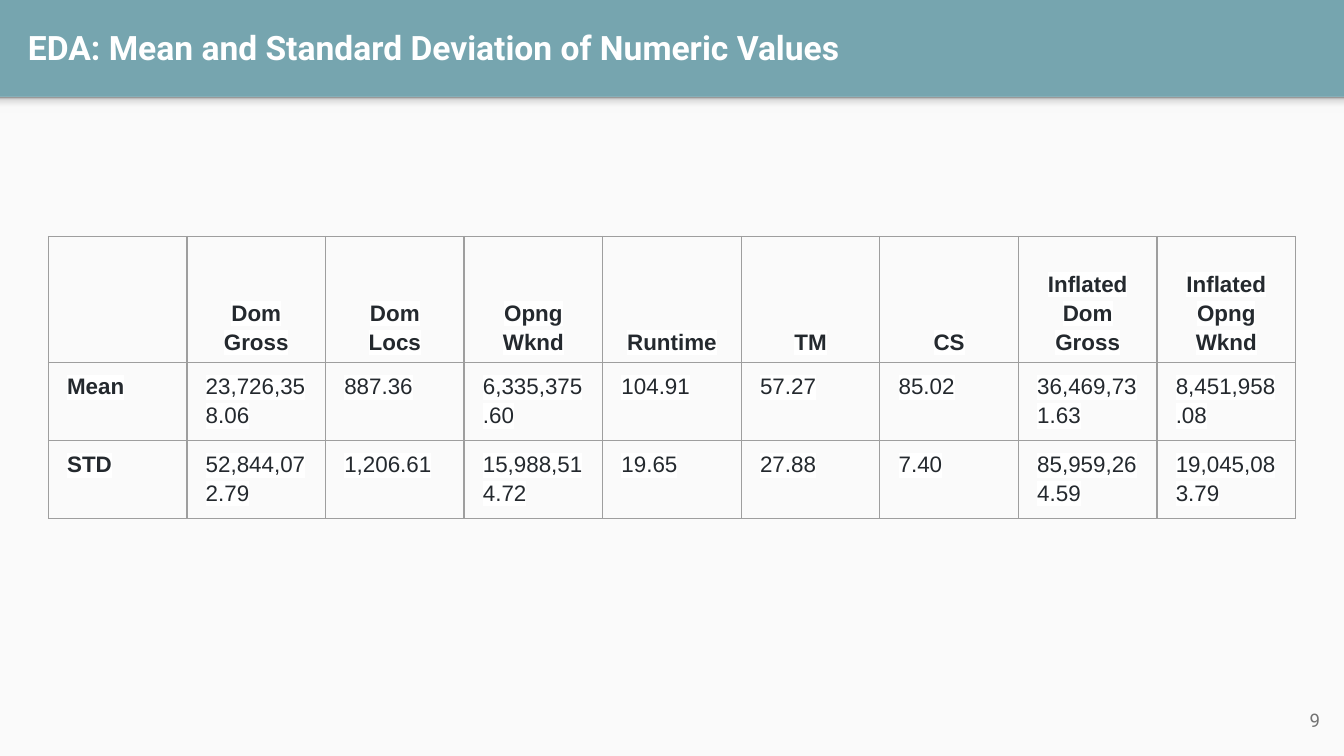
from lxml import etree
from pptx import Presentation, util as u
from pptx.dml.color import RGBColor
from pptx.enum import shapes, text
from pptx.oxml.ns import qn

HUES = {"band": "76A5AF", "page": "FAFAFA", "white": "FFFFFF",
        "ink": "24292E", "rule": "9E9E9E", "grey": "737373"}
SHADE = [(0, "F9F9F9"), (36, "F9F9F9"), (80, "DEDEDE"), (100, "999999")]
TITLE = "EDA: Mean and Standard Deviation of Numeric Values"
PAGE = "9"
ROWS = [
    ["", "Dom Gross", "Dom Locs", "Opng Wknd", "Runtime", "TM", "CS",
     "Inflated Dom Gross", "Inflated Opng Wknd"],
    ["Mean", "23,726,358.06", "887.36", "6,335,375.60", "104.91", "57.27",
     "85.02", "36,469,731.63", "8,451,958.08"],
    ["STD", "52,844,072.79", "1,206.61", "15,988,514.72", "19.65", "27.88",
     "7.40", "85,959,264.59", "19,045,083.79"],
]
HIGH = [0.94, 0.56, 0.56]
SPAN = 9.28
WIDE = 10
TALL = WIDE * 9 / 16


def rgb(name):
    return RGBColor.from_string(HUES[name])


def sub(node, tag, **attrs):
    return etree.SubElement(node, qn(tag), attrs)


def style(font, face, size, hue, bold=False):
    font.name, font.size, font.bold = face, u.Pt(size), bold
    font.color.rgb = rgb(hue)


def block(slide, top, high):
    box = slide.shapes.add_shape(shapes.MSO_SHAPE.RECTANGLE, 0, u.Inches(top),
                                 u.Inches(WIDE), u.Inches(high))
    box.shadow.inherit = False
    box.line.fill.background()
    return box


def label(slide, words, area, size, hue, align, bold=False):
    box = slide.shapes.add_textbox(*[u.Inches(n) for n in area])
    frame = box.text_frame
    frame.word_wrap = True
    frame.vertical_anchor = text.MSO_ANCHOR.MIDDLE
    frame.margin_left = frame.margin_right = u.Inches(0.1)
    frame.margin_top = frame.margin_bottom = u.Inches(0.1)
    para = frame.paragraphs[0]
    para.text, para.alignment = words, align
    style(para.font, "Roboto", size, hue, bold)


def border(cell):
    props = cell._tc.get_or_add_tcPr()
    for spot, side in enumerate(("a:lnL", "a:lnR", "a:lnT", "a:lnB")):
        line = etree.Element(qn(side), w=str(u.Pt(0.75)))
        sub(sub(line, "a:solidFill"), "a:srgbClr", val=HUES["rule"])
        props.insert(spot, line)


def fill(cell, words, head, bold):
    cell.fill.background()
    border(cell)
    cell.margin_left = cell.margin_right = u.Inches(0.14)
    cell.margin_top = cell.margin_bottom = u.Inches(0.06)
    cell.vertical_anchor = text.MSO_ANCHOR.BOTTOM if head else text.MSO_ANCHOR.TOP
    if not words:
        return
    para = cell.text_frame.paragraphs[0]
    para.line_spacing, para.space_after = 1.15, u.Pt(12)
    para.alignment = text.PP_ALIGN.CENTER if head else text.PP_ALIGN.LEFT
    run = para.add_run()
    run.text = words
    style(run.font, "Arial", 12, "ink", bold)
    mark = etree.Element(qn("a:highlight"))
    sub(mark, "a:srgbClr", val=HUES["white"])
    run._r.rPr.find(qn("a:solidFill")).addnext(mark)


deck = Presentation()
deck.slide_width, deck.slide_height = u.Inches(WIDE), u.Inches(TALL)
slide = deck.slides.add_slide(deck.slide_layouts[6])
back = slide.background.fill
back.solid()
back.fore_color.rgb = rgb("band")

page = block(slide, 0.72, TALL - 0.72)
page.fill.solid()
page.fill.fore_color.rgb = rgb("page")

shade = block(slide, 0.72, 0.12)
shade.fill.gradient()
shade.fill.gradient_angle = 90
stops = shade._element.spPr.find(".//" + qn("a:gsLst"))
for old in list(stops):
    stops.remove(old)
for pos, hue in SHADE:
    sub(sub(stops, "a:gs", pos=str(pos * 1000)), "a:srgbClr", val=hue)

label(slide, TITLE, (0.11, 0.02, 9.65, 0.66), 18, "white",
      text.PP_ALIGN.LEFT, True)
label(slide, PAGE, (9.32, 5.14, 0.6, 0.43), 10, "grey", text.PP_ALIGN.RIGHT)

count = len(ROWS[0])
table = slide.shapes.add_table(
    len(ROWS), count, u.Inches(0.36), u.Inches(1.76),
    u.Inches(SPAN), u.Inches(sum(HIGH))).table
table.first_row = table.horz_banding = False
for col in table.columns:
    col.width = u.Inches(SPAN / count)
for r, (row, high) in enumerate(zip(ROWS, HIGH)):
    table.rows[r].height = u.Inches(high)
    for c, words in enumerate(row):
        fill(table.cell(r, c), words, r == 0, r == 0 or c == 0)

deck.save("out.pptx")
